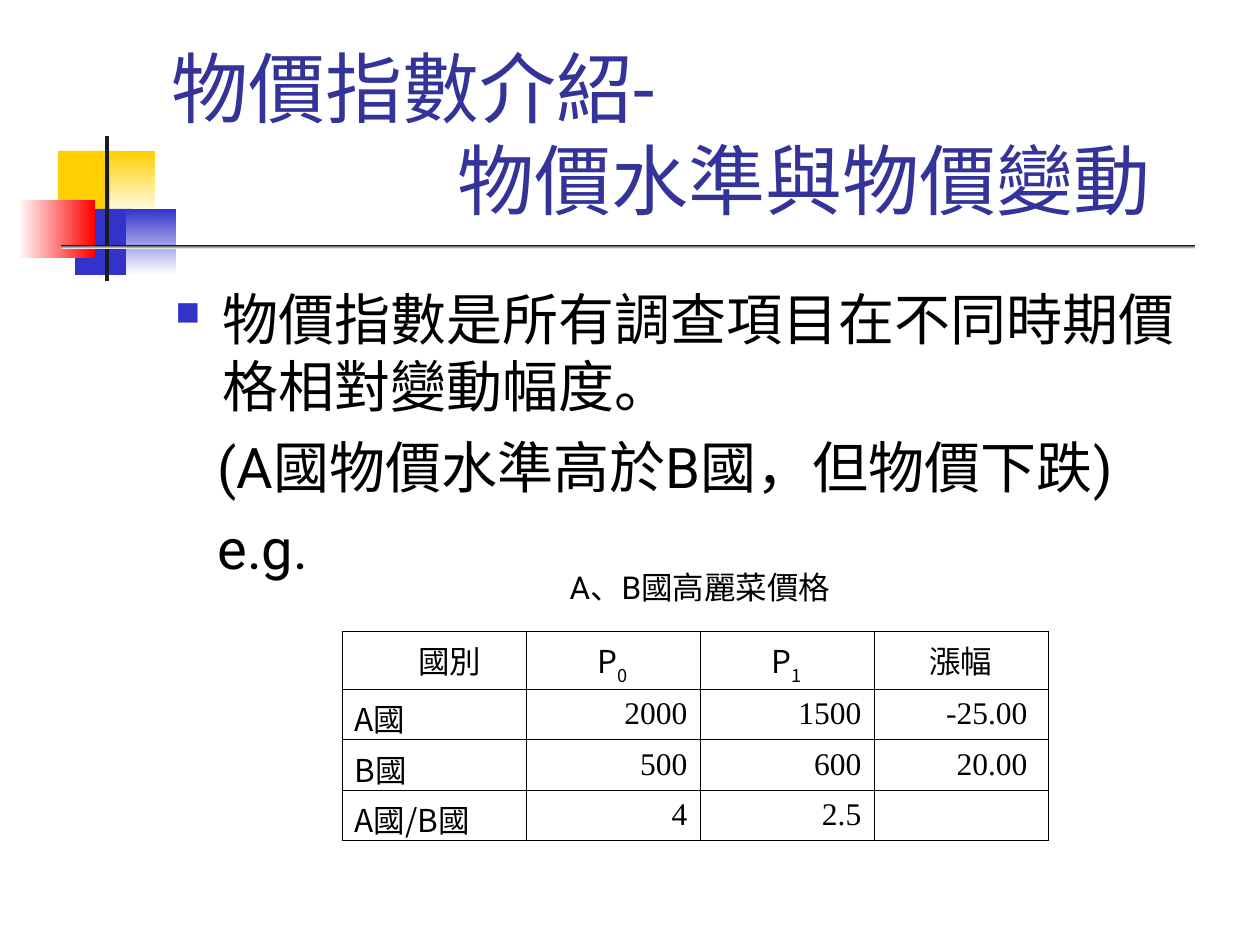
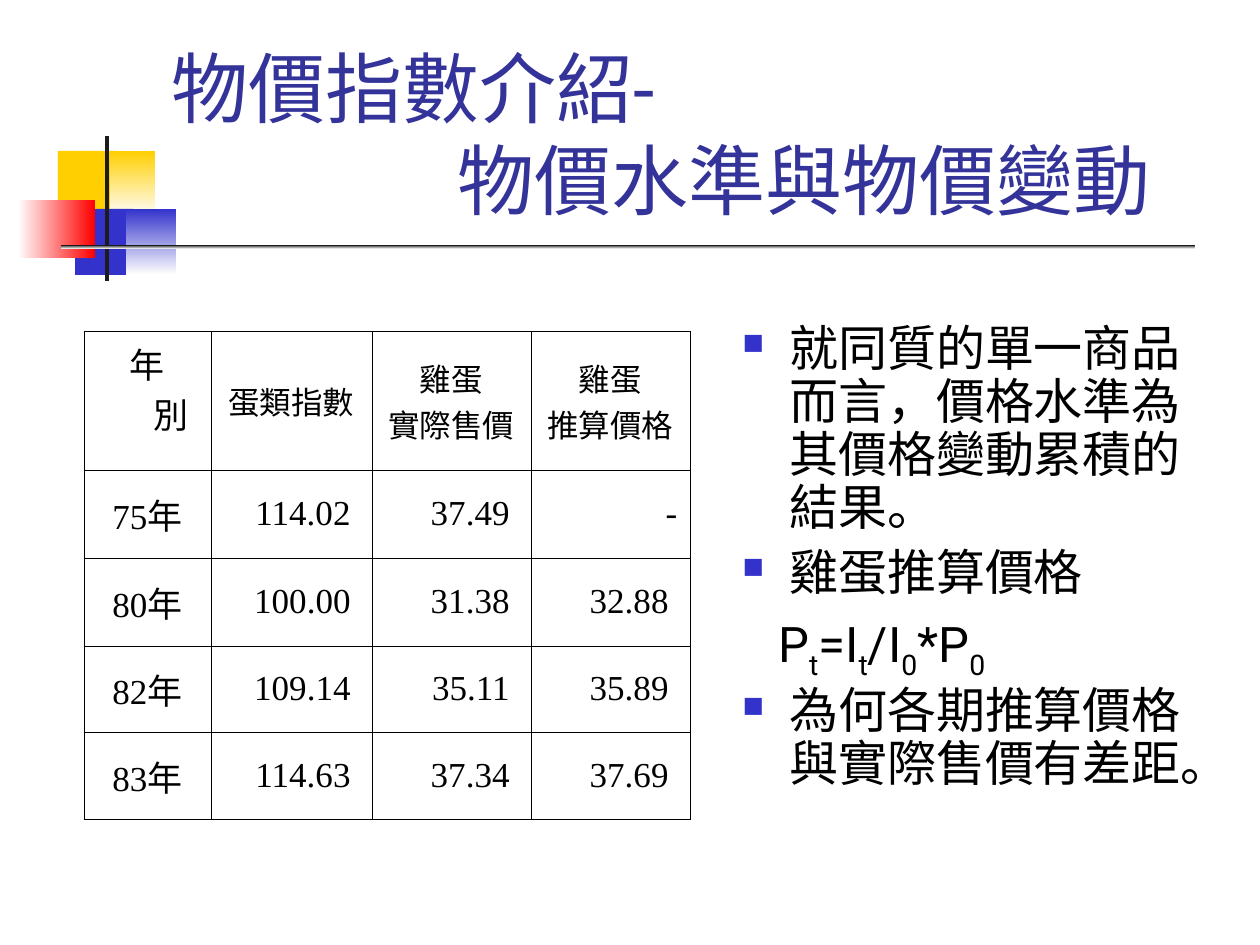
from lxml import etree
from pptx import Presentation
from pptx.dml.color import RGBColor
from pptx.enum.shapes import MSO_SHAPE
from pptx.enum.text import MSO_ANCHOR, PP_ALIGN
from pptx.oxml.ns import qn
from pptx.util import Emu, Pt

RECT = MSO_SHAPE.RECTANGLE
MIDDLE, BOTTOM, TOP = MSO_ANCHOR.MIDDLE, MSO_ANCHOR.BOTTOM, MSO_ANCHOR.TOP
LEFT, CENTER, RIGHT = PP_ALIGN.LEFT, PP_ALIGN.CENTER, PP_ALIGN.RIGHT

# Shared look
SANS, CJK, SERIF = "Roboto", "Noto Sans CJK TC", "Times New Roman"
BLACK, WHITE, INK, TITLE = "000000", "FFFFFF", "1C1C1C", "333399"
YELLOW, BLUE, RED = "FFCF01", "3333CC", "FF0000"
UP, LEFTWARD = 90, 180
HANG = 47

# Decoration: box, colours (two make a gradient), gradient direction
DECORATION = [
    ((58, 151, 60, 66), [YELLOW], None),
    ((110, 151, 45, 66), [WHITE, YELLOW], UP),
    ((75, 209, 58, 66), [BLUE], None),
    ((126, 209, 50, 66), [WHITE, BLUE], UP),
    ((18, 200, 77, 58), [RED, WHITE], LEFTWARD),
    ((105, 136, 4, 145), [INK], None),
    ((61, 245, 1134, 4), [WHITE, INK], UP),
]
TITLE_BOX = (159, 29, 1074, 202)
TITLE_LINES = [("物價指數介紹-", 0), ("物價水準與物價變動", 286)]

# Content: "_" lowers the next character; body lines are (text, bulleted)
INDEX_BODY = {
    "box": (163, 278, 1071, 567), "size": 32, "before": 8, "spacing": 1.0, "inset": 42,
    "lines": [("物價指數是所有調查項目在不同時期價格相對變動幅度。", True),
              ("(A國物價水準高於B國，但物價下跌)", False),
              ("e.g.", False)],
}
CAPTION = ("A、B國高麗菜價格", (422, 562, 556, 50))
CABBAGE = {
    "at": (342, 631), "cols": [184, 174, 174, 174], "rows": [58, 50, 50, 50],
    "hang": 0, "head_sizes": [18] * 4, "size": 18,
    "label_font": CJK, "label_align": LEFT,
    "data": [["　國別", "P_0", "P_1", "漲幅"],
             ["A國", "2000", "1500", "-25.00 "],
             ["B國", "500", "600", "20.00 "],
             ["A國/B國", "4", "2.5", ""]],
}
EGGS = {
    "at": (84, 331), "cols": [127, 161, 159, 159], "rows": [139, 88, 88, 86, 88],
    "hang": HANG, "head_sizes": [20, 18, 18, 18], "size": 20,
    "label_font": SERIF, "label_align": CENTER,
    "data": [["年別　", "蛋類指數", "雞蛋\n實際售價", "雞蛋\n推算價格"],
             ["75年", "114.02 ", "37.49 ", "-"],
             ["80年", "100.00 ", "31.38 ", "32.88 "],
             ["82年", "109.14 ", "35.11 ", "35.89 "],
             ["83年", "114.63 ", "37.34 ", "37.69 "]],
}
EGG_BODY = {
    "box": (730, 318, 505, 532), "size": 28, "before": 7, "spacing": 0.9, "inset": 36,
    "lines": [("就同質的單一商品而言，價格水準為其價格變動累積的結果。", True),
              ("雞蛋推算價格", True),
              ("P_t=I_t/I_0*P_0", False),
              ("為何各期推算價格與實際售價有差距。", True)],
}


def px(n):
    return Emu(round(n * 914400 / 126))


def rgb(color):
    return RGBColor.from_string(color)


def sub(parent, tag, **attrs):
    return etree.SubElement(parent, qn(tag), attrs)


def set_font(font, size, color, name, east):
    font.size, font.name = Pt(size), name
    font.color.rgb = rgb(color)
    latin = font._element.find(qn("a:latin"))
    ea = etree.Element(qn("a:ea"), typeface=east)
    latin.addnext(ea)


def write(p, text, size, color=BLACK, name=SANS, east=SANS,
          align=LEFT, margin=0, indent=0, bullet=False):
    """Fill one paragraph, lowering each character that follows "_"."""
    pPr = p._p.get_or_add_pPr()
    pPr.set("marL", str(px(margin)))
    pPr.set("indent", str(px(indent)))
    if bullet:
        sub(sub(pPr, "a:buClr"), "a:srgbClr", val=BLUE)
        sub(pPr, "a:buSzPct", val="60000")
        sub(pPr, "a:buChar", char="■")
    p.alignment = align
    set_font(p.font, size, color, name, east)
    first, *rest = text.split("_")
    pieces = [(first, False)]
    for part in rest:
        pieces += [(part[0], True), (part[1:], False)]
    for piece, lowered in pieces:
        if piece:
            r = p.add_run()
            r.text = piece
            if lowered:
                r.font._element.set("baseline", "-27000")


def paragraphs(tf, count):
    return [tf.paragraphs[0]] + [tf.add_paragraph() for _ in range(count - 1)]


def text_box(s, box, anchor=TOP):
    tf = s.shapes.add_textbox(*map(px, box)).text_frame
    tf.word_wrap = True
    tf.vertical_anchor = anchor
    return tf


def base_slide(prs):
    """Add a slide with the corner blocks, the rule and the title."""
    s = prs.slides.add_slide(prs.slide_layouts[6])
    for box, colors, direction in DECORATION:
        sp = s.shapes.add_shape(RECT, *map(px, box))
        sp.shadow.inherit = False
        sp.line.fill.background()
        if direction is None:
            sp.fill.solid()
            sp.fill.fore_color.rgb = rgb(colors[0])
        else:
            sp.fill.gradient()
            sp.fill.gradient_angle = direction
            for stop, color in zip(sp.fill.gradient_stops, colors):
                stop.color.rgb = rgb(color)
    tf = text_box(s, TITLE_BOX, BOTTOM)
    for p, (line, margin) in zip(paragraphs(tf, len(TITLE_LINES)), TITLE_LINES):
        write(p, line, 44, TITLE, margin=margin)
    return s


def add_body(s, body):
    tf = text_box(s, body["box"])
    lines = body["lines"]
    for i, (p, (line, bulleted)) in enumerate(zip(paragraphs(tf, len(lines)), lines)):
        margin, indent = (HANG, -HANG) if bulleted else (body["inset"], 0)
        write(p, line, body["size"], margin=margin, indent=indent, bullet=bulleted)
        p.line_spacing = body["spacing"]
        if i:
            p.space_before = Pt(body["before"])


def border(cell):
    tcPr = cell._tc.get_or_add_tcPr()
    for side in "LRTB":
        ln = sub(tcPr, f"a:ln{side}", w="5715")
        sub(sub(ln, "a:solidFill"), "a:srgbClr", val=BLACK)


def add_price_table(s, spec_of):
    cols, rows = spec_of["cols"], spec_of["rows"]
    box = (*spec_of["at"], sum(cols), sum(rows))
    table = s.shapes.add_table(len(rows), len(cols), *map(px, box)).table
    table.first_row = table.horz_banding = False
    for col, width in zip(table.columns, cols):
        col.width = px(width)
    for row, height in zip(table.rows, rows):
        row.height = px(height)
    for i, values in enumerate(spec_of["data"]):
        for j, value in enumerate(values):
            cell = table.cell(i, j)
            border(cell)
            cell.fill.background()
            cell.vertical_anchor = MIDDLE
            size, name, align = spec_of["size"], SERIF, RIGHT
            if i == 0:
                size, name, align = spec_of["head_sizes"][j], CJK, CENTER
            elif j == 0:
                name, align = spec_of["label_font"], spec_of["label_align"]
            lines = value.split("\n")
            for p, line in zip(paragraphs(cell.text_frame, len(lines)), lines):
                write(p, line, size, name=name, east=CJK, align=align,
                      margin=spec_of["hang"], indent=-spec_of["hang"])


def main():
    prs = Presentation()
    prs.slide_width, prs.slide_height = px(1260), px(945)

    # Index definition with the cabbage example
    s = base_slide(prs)
    add_body(s, INDEX_BODY)
    add_price_table(s, CABBAGE)
    caption, box = CAPTION
    write(text_box(s, box).paragraphs[0], caption, 18, align=CENTER)

    # Egg prices, actual against derived
    s = base_slide(prs)
    add_body(s, EGG_BODY)
    add_price_table(s, EGGS)

    prs.save("out.pptx")


if __name__ == "__main__":
    main()
